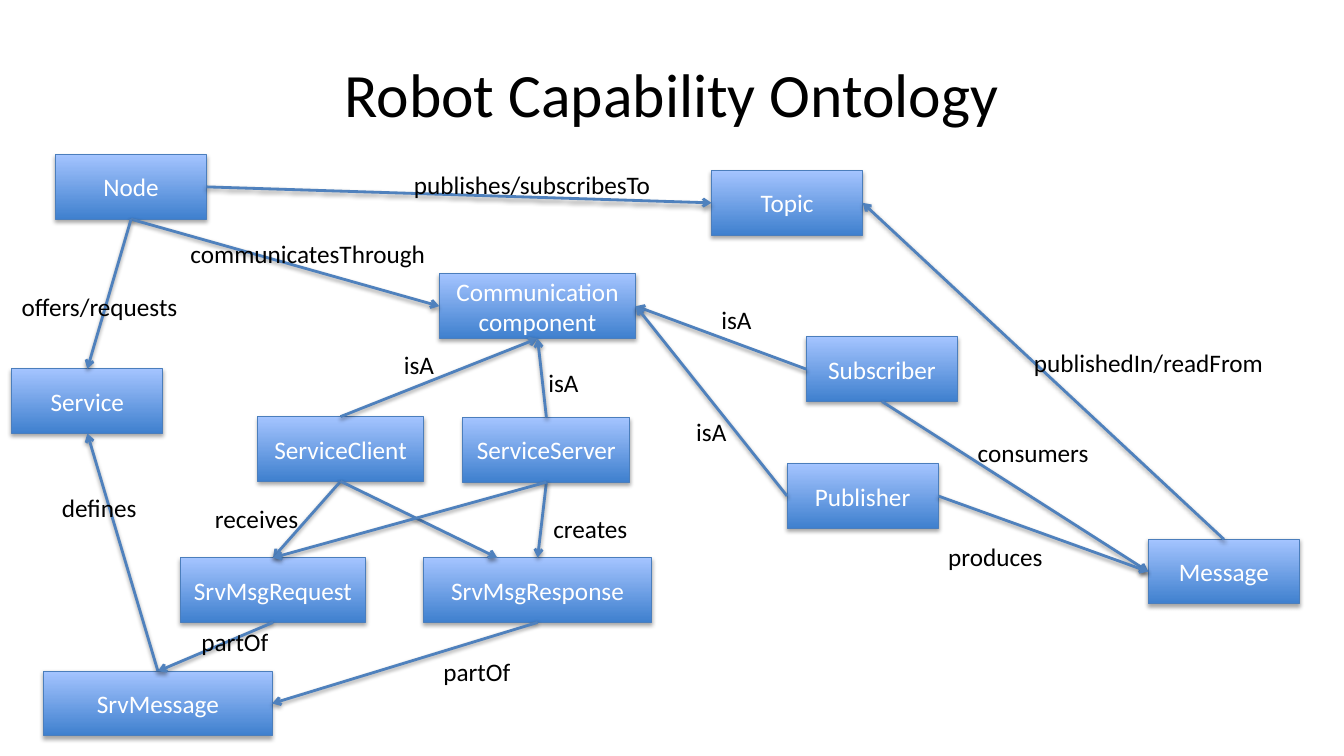
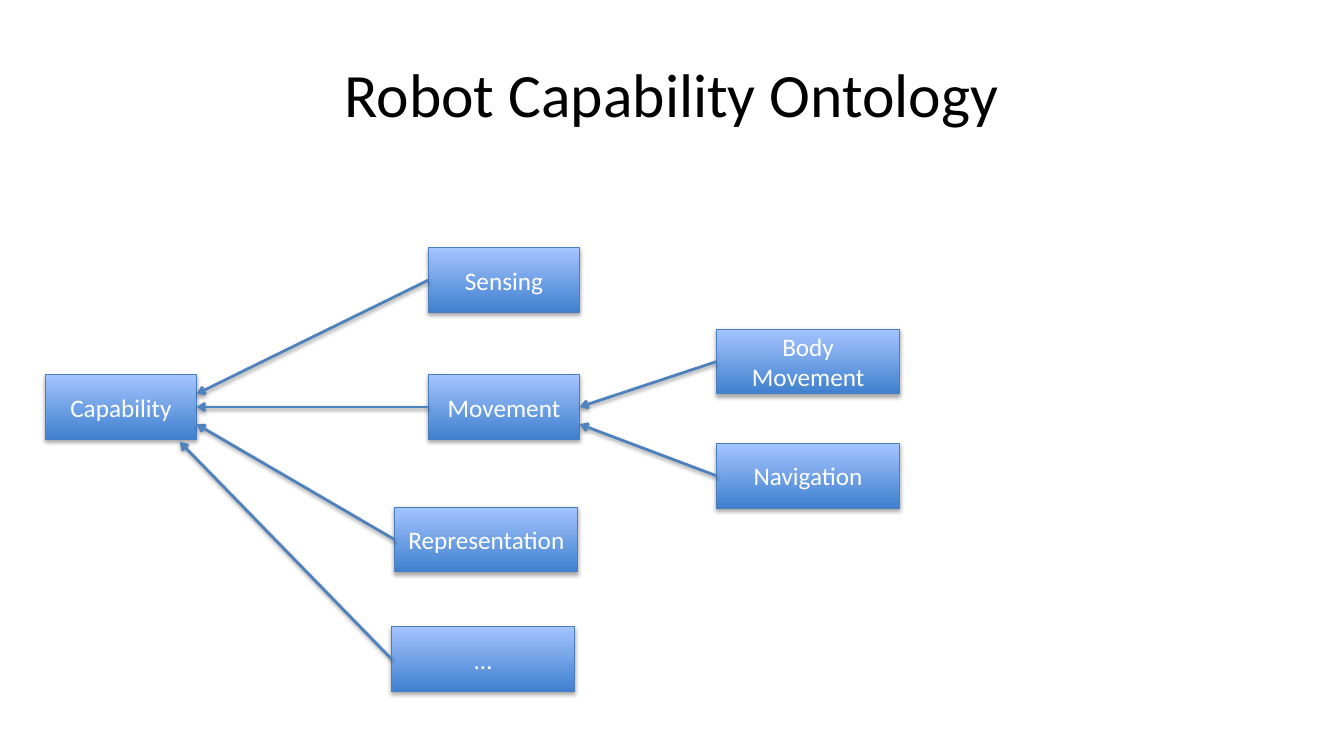
"""Build two ontology diagrams of labelled boxes joined by arrows."""
from lxml import etree
from pptx import Presentation
from pptx import util as u
from pptx.dml.color import RGBColor
from pptx.enum import shapes, text
from pptx.oxml.ns import qn

BLACK = RGBColor(0x00, 0x00, 0x00)
WHITE = RGBColor(0xFF, 0xFF, 0xFF)
BOX_BOTTOM = RGBColor(0x3F, 0x80, 0xCE)
BOX_TOP = RGBColor(0xA4, 0xC4, 0xFF)
BOX_EDGE = RGBColor(0x4B, 0x7E, 0xBC)
ARROW = RGBColor(0x4F, 0x81, 0xBD)
FONT = "Calibri"
TITLE = "Robot Capability Ontology"
TOP, LEFT, BOTTOM, RIGHT = range(4)
BOX_ROWS, LABEL_ROWS = 7.7, 4.8

DIAGRAMS = [
    {
        "boxes": [
            ("Node", 6.6, 18.4, 18),
            ("Communication component", 52.3, 32.6, 23.4),
            ("ServiceClient", 30.7, 49.6, 19.7),
            ("ServiceServer", 55.1, 49.7, 19.9),
            ("Publisher", 93.7, 55.2, 18),
            ("Subscriber", 96, 40.1, 18),
            ("Message", 136.7, 64.2, 18),
            ("Topic", 84.7, 20.3, 18),
            ("Service", 1.4, 43.9, 18),
            ("SrvMsgRequest", 21.5, 66.4, 22),
            ("SrvMsgResponse", 50.4, 66.4, 27.2),
            ("SrvMessage", 5.2, 79.9, 27.2),
        ],
        "links": [
            ("Node", RIGHT, "Topic", LEFT),
            ("Node", BOTTOM, "Communication component", LEFT),
            ("Node", BOTTOM, "Service", TOP),
            ("ServiceClient", TOP, "Communication component", BOTTOM),
            ("ServiceServer", TOP, "Communication component", BOTTOM),
            ("Subscriber", LEFT, "Communication component", RIGHT),
            ("Publisher", LEFT, "Communication component", RIGHT),
            ("Message", TOP, "Topic", RIGHT),
            ("ServiceClient", BOTTOM, "SrvMsgRequest", TOP),
            ("ServiceServer", BOTTOM, "SrvMsgResponse", TOP),
            ("SrvMessage", TOP, "Service", BOTTOM),
            ("Subscriber", BOTTOM, "Message", LEFT),
            ("Publisher", RIGHT, "Message", LEFT),
            ("SrvMsgRequest", BOTTOM, "SrvMessage", TOP),
            ("SrvMsgResponse", BOTTOM, "SrvMessage", RIGHT),
            ("ServiceClient", BOTTOM, None, (59.2, 66.4)),
            ("ServiceServer", BOTTOM, "SrvMsgRequest", TOP),
        ],
        "labels": [
            ("publishes/subscribesTo", 48.1, 19.6, 31.2),
            ("communicatesThrough", 21.5, 27.8, 30.8),
            ("offers/requests", 1.4, 34.1, 21.4),
            ("isA", 46.9, 41, 6),
            ("isA", 64.1, 43.1, 6),
            ("isA", 81.7, 49, 6),
            ("isA", 84.7, 35.6, 6),
            ("publishedIn/readFrom", 121.9, 40.7, 30),
            ("consumers", 115.2, 51.5, 15.8),
            ("produces", 111.7, 63.8, 13.9),
            ("defines", 6.2, 58, 11.4),
            ("partOf", 51.6, 77.5, 10.6),
            ("partOf", 22.8, 74, 10.6),
            ("creates", 64.7, 60.5, 11.4),
            ("receives", 24.4, 59.3, 12.5),
        ],
    },
    {
        "boxes": [
            ("Capability", 5.4, 44.6, 18),
            ("Sensing", 51, 29.5, 18),
            ("Movement", 51, 44.6, 18),
            ("Representation", 47, 60.4, 21.8),
            ("…", 46.6, 74.6, 21.8),
            ("Body Movement", 85.3, 39.2, 21.8),
            ("Navigation", 85.3, 52.8, 21.8),
        ],
        "links": [
            ("Sensing", LEFT, None, (23.4, 46.9)),
            ("Movement", LEFT, "Capability", RIGHT),
            ("Representation", LEFT, None, (23.4, 50.5)),
            ("…", LEFT, None, (21.4, 52.6)),
            ("Body Movement", LEFT, "Movement", RIGHT),
            ("Navigation", LEFT, None, (69, 50.5)),
        ],
        "labels": [],
    },
]


def write_text(frame, words, size, color, align):
    para = frame.paragraphs[0]
    para.alignment = align
    span = para.add_run()
    span.text = words
    span.font.name = FONT
    span.font.size = u.Pt(size)
    span.font.color.rgb = color


def add_shadow(shape, distance, percent):
    properties = shape.element.find(qn("p:spPr"))
    effects = etree.SubElement(properties, qn("a:effectLst"))
    shadow = etree.SubElement(effects, qn("a:outerShdw"), blurRad=str(u.Pt(3.1)),
                              dist=str(u.Pt(distance)), dir="5400000", rotWithShape="0")
    tint = etree.SubElement(shadow, qn("a:srgbClr"), val=str(BLACK))
    etree.SubElement(tint, qn("a:alpha"), val=str(percent * 1000))


deck = Presentation()
deck.slide_width, deck.slide_height = u.Inches(13.33), u.Inches(7.5)
COL, ROW = deck.slide_width / 160, deck.slide_height / 90

layout = deck.slide_layouts.get_by_name("Title Only")
heading = layout.placeholders[0]
heading.left, heading.top = int(8 * COL), int(3.6 * ROW)
heading.width, heading.height = int(144 * COL), int(15 * ROW)
heading.text_frame.vertical_anchor = text.MSO_ANCHOR.MIDDLE

for diagram in DIAGRAMS:
    page = deck.slides.add_slide(layout)
    write_text(page.shapes.title.text_frame, TITLE, 44, BLACK, text.PP_ALIGN.CENTER)

    boxes = {}
    for name, col, row, cols in diagram["boxes"]:
        box = page.shapes.add_shape(
            shapes.MSO_SHAPE.RECTANGLE,
            int(col * COL), int(row * ROW), int(cols * COL), int(BOX_ROWS * ROW))
        box.fill.gradient()
        box.fill.gradient_angle = 90
        for stop, color in zip(box.fill.gradient_stops, (BOX_BOTTOM, BOX_TOP)):
            stop.color.rgb = color
        box.line.color.rgb = BOX_EDGE
        box.line.width = u.Pt(0.75)
        add_shadow(box, 1.8, 35)
        box.text_frame.word_wrap = True
        box.text_frame.vertical_anchor = text.MSO_ANCHOR.MIDDLE
        write_text(box.text_frame, name, 18, WHITE, text.PP_ALIGN.CENTER)
        boxes[name] = box

    for source, source_side, target, end in diagram["links"]:
        end_col, end_row = (0, 0) if target else end
        arrow = page.shapes.add_connector(
            shapes.MSO_CONNECTOR.STRAIGHT, 0, 0, int(end_col * COL), int(end_row * ROW))
        arrow.begin_connect(boxes[source], source_side)
        if target:
            arrow.end_connect(boxes[target], end)
        arrow.line.color.rgb = ARROW
        arrow.line.width = u.Pt(2)
        outline = arrow.element.find(qn("p:spPr")).find(qn("a:ln"))
        etree.SubElement(outline, qn("a:tailEnd"), type="arrow")
        add_shadow(arrow, 1.6, 38)

    for words, col, row, cols in diagram["labels"]:
        label = page.shapes.add_textbox(
            int(col * COL), int(row * ROW), int(cols * COL), int(LABEL_ROWS * ROW))
        label.text_frame.word_wrap = False
        label.text_frame.auto_size = text.MSO_AUTO_SIZE.SHAPE_TO_FIT_TEXT
        write_text(label.text_frame, words, 18, BLACK, text.PP_ALIGN.LEFT)

deck.save("out.pptx")
